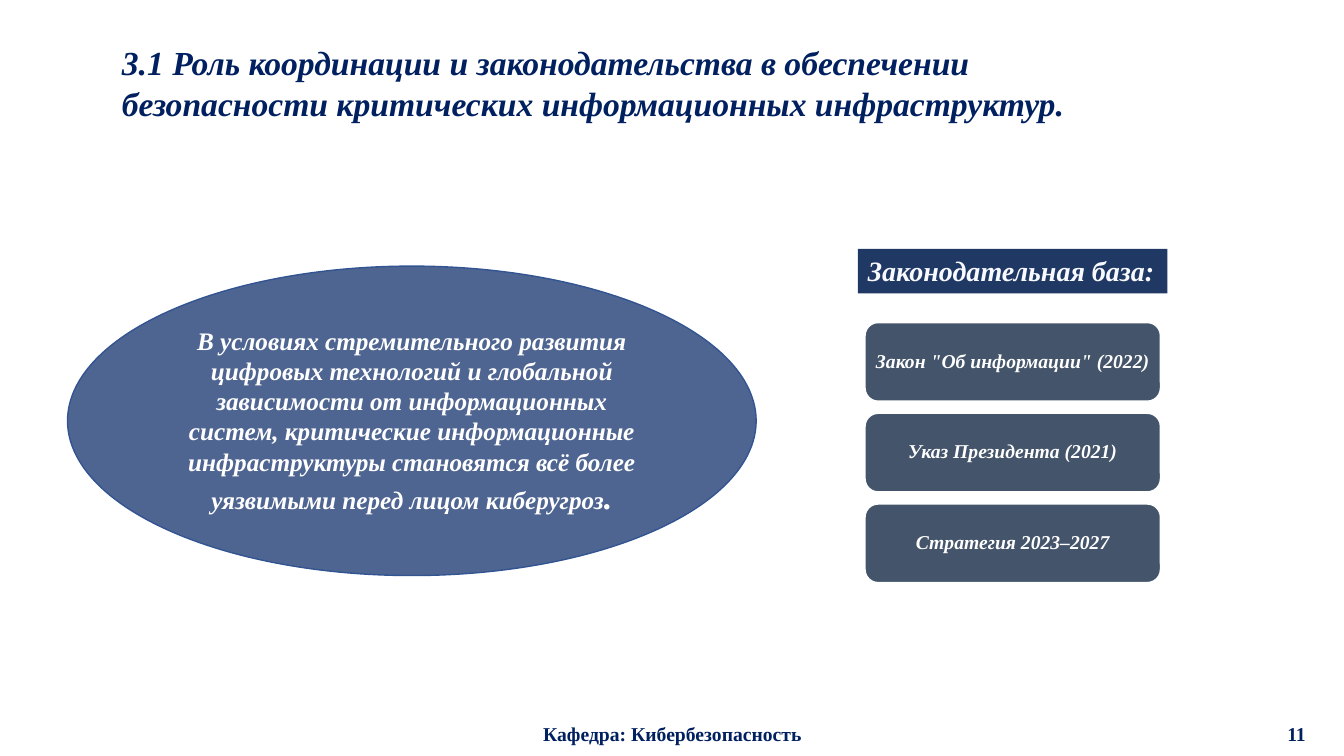
from lxml.etree import SubElement
from pptx import Presentation
from pptx.dml.color import RGBColor as Color
from pptx.enum.shapes import MSO_SHAPE as Preset
from pptx.enum.text import MSO_ANCHOR as Anchor, PP_ALIGN as Align
from pptx.oxml.ns import qn
from pptx.util import Inches, Pt

COLORS = {"navy": "002060", "outline": "325491", "banner": "203864",
          "card": "44546A", "white": "FFFFFF", "pale": "F8FAFF"}
BOLD = {"name": "Times New Roman", "bold": True}
ACCENT = {**BOLD, "italic": True}
MIDDLE = {"word_wrap": True, "vertical_anchor": Anchor.MIDDLE}
TOP = {"word_wrap": True, "vertical_anchor": Anchor.TOP}
LAWS = ['Закон "Об информации" (2022)', "Указ Президента (2021)", "Стратегия 2023–2027"]


def apply(target, values):
    """Set every attribute in values on the target."""
    for name, value in values.items():
        setattr(target, name, value)


def write(shape, pieces, color, style, frame, para_style):
    """Fill a shape with one paragraph made of (text, size) pieces."""
    apply(shape.text_frame, frame)
    para = shape.text_frame.paragraphs[0]
    apply(para, para_style)
    for text, size in pieces:
        span = para.add_run()
        span.text = text
        apply(span.font, {**style, "size": Pt(size)})
        span.font.color.rgb = Color.from_string(COLORS[color])


def add_label(page, box, text, size, style, frame, align):
    """Place a navy text box."""
    label = page.shapes.add_textbox(*map(Inches, box))
    write(label, [(text, size)], "navy", style, frame, {"alignment": align})


def add_panel(page, preset, box, fill, line=None):
    """Place a filled shape with an optional thin outline."""
    panel = page.shapes.add_shape(preset, *map(Inches, box))
    panel.shadow.inherit = False
    panel.fill.solid()
    panel.fill.fore_color.rgb = Color.from_string(COLORS[fill])
    if line:
        panel.line.color.rgb = Color.from_string(COLORS[line])
        panel.line.width = Pt(1)
    else:
        panel.line.fill.background()
    return panel


def add_statement(page, box):
    """Place the translucent ellipse with the main statement."""
    ellipse = add_panel(page, Preset.OVAL, box, "navy", "outline")
    tint = ellipse.fill._xPr.find(qn("a:solidFill"))[0]
    SubElement(tint, qn("a:alpha"), val="69000")
    statement = ("В условиях стремительного развития цифровых технологий и глобальной "
                 "зависимости от информационных систем, критические информационные "
                 "инфраструктуры становятся всё более уязвимыми перед лицом киберугроз")
    write(ellipse, [(statement, 18), (".", 24)], "white", ACCENT, MIDDLE,
          {"alignment": Align.CENTER})


def add_legislation(page, box):
    """Place the banner and the column of law cards under it."""
    left, top, width, height = box
    banner = add_panel(page, Preset.RECTANGLE, (left, top, width, 0.44), "banner")
    write(banner, [("Законодательная база:", 20)], "pale", ACCENT, TOP,
          {"alignment": Align.LEFT})
    inset, card_height, step = 0.07, 0.78, 0.9
    first = top + height - card_height - step * (len(LAWS) - 1)
    margins = dict.fromkeys(
        ("margin_left", "margin_right", "margin_top", "margin_bottom"), Inches(0.06))
    for row, law in enumerate(LAWS):
        place = (left + inset, first + row * step, width - 2 * inset, card_height)
        card = add_panel(page, Preset.ROUNDED_RECTANGLE, place, "card", "white")
        write(card, [(law, 14)], "white", ACCENT, {**MIDDLE, **margins},
              {"alignment": Align.CENTER, "line_spacing": 0.9})


def add_footer(page, box):
    """Place the centred department name and the page number at the right."""
    left, top, width, height = box
    middle, number = 4.5, 3
    add_label(page, (left + (width - middle) / 2, top, middle, height),
              "Кафедра: Кибербезопасность", 14, BOLD, MIDDLE, Align.CENTER)
    add_label(page, (left + width - number, top, number, height),
              "11", 14, BOLD, MIDDLE, Align.RIGHT)


def main():
    """Build the deck with its single page."""
    deck = Presentation()
    apply(deck, {"slide_width": Inches(13.33), "slide_height": Inches(7.5)})
    page = deck.slides.add_slide(deck.slide_layouts[6])
    add_statement(page, (0.67, 2.64, 6.83, 3.07))
    add_footer(page, (0.29, 7.08, 12.76, 0.4))
    add_label(page, (1.11, 0.37, 9.85, 0.91),
              "3.1 Роль координации и законодательства в обеспечении безопасности "
              "критических информационных инфраструктур.", 24, ACCENT, TOP, Align.LEFT)
    add_legislation(page, (8.51, 2.47, 3.07, 3.31))
    deck.save("out.pptx")


if __name__ == "__main__":
    main()
